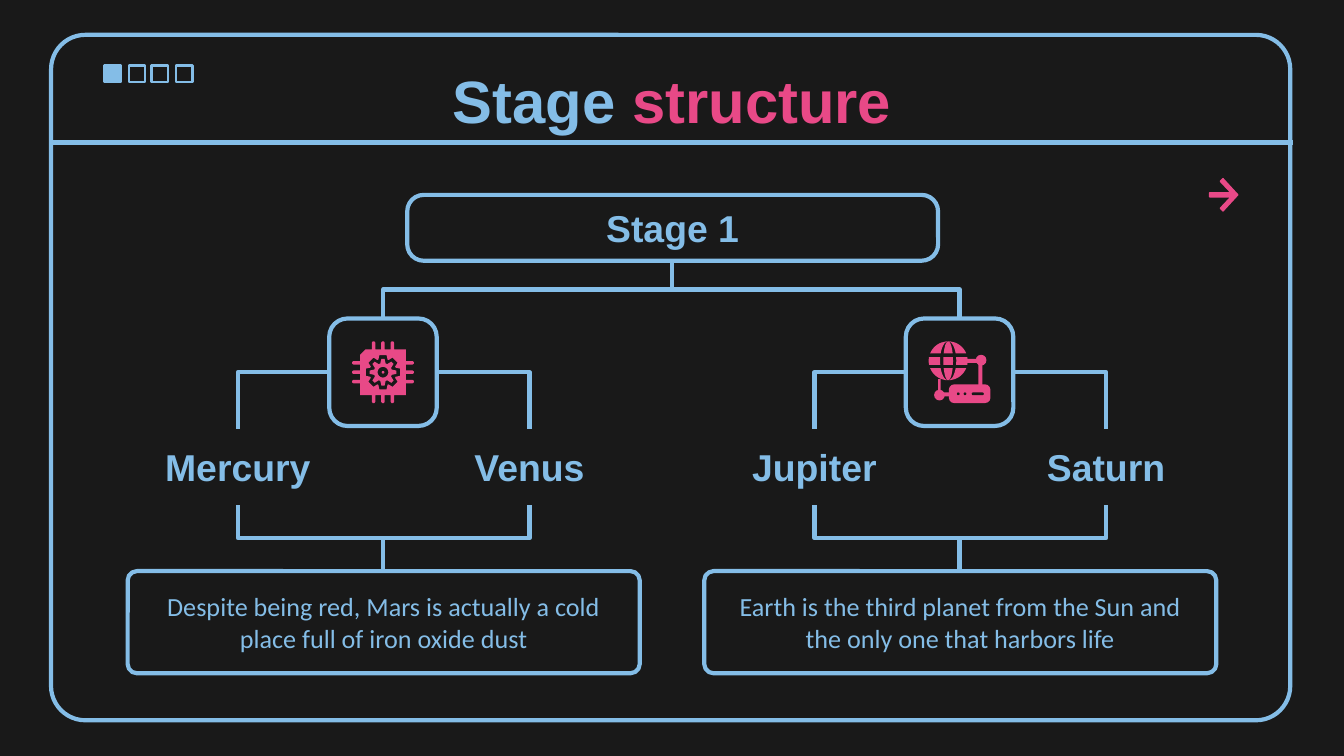
import math

import pptx
import pptx.dml.color
import pptx.enum.shapes
import pptx.enum.text
import pptx.oxml.ns
import pptx.util
from lxml import etree

PX = 9144  # EMU in one px, 100 px to the inch
DARK = pptx.dml.color.RGBColor(0x19, 0x19, 0x19)
BLUE = pptx.dml.color.RGBColor(0x84, 0xBD, 0xE7)
PINK = pptx.dml.color.RGBColor(0xE8, 0x49, 0x87)
SHAPE = pptx.enum.shapes.MSO_SHAPE
CONNECTOR = pptx.enum.shapes.MSO_CONNECTOR
ANCHOR = pptx.enum.text.MSO_ANCHOR
CENTER = pptx.enum.text.PP_ALIGN.CENTER
qn = pptx.oxml.ns.qn

# Widescreen page, 16 to 9
deck = pptx.Presentation()
deck.slide_width = 1000 * PX
deck.slide_height = 1000 * PX * 9 // 16
page = deck.slides.add_slide(deck.slide_layouts[5])
page.background.fill.solid()
page.background.fill.fore_color.rgb = DARK


def add_box(kind, left, top, width, height, fill=None, line=None, radius=None,
            text="", font="Arial", size=20, bold=True):
    box = page.shapes.add_shape(kind, left * PX, top * PX, width * PX, height * PX)
    box.shadow.inherit = False
    if radius is not None:
        box.adjustments[0] = radius
    if fill is None:
        box.fill.background()
    else:
        box.fill.solid()
        box.fill.fore_color.rgb = fill
    if line is None:
        box.line.fill.background()
    else:
        box.line.color.rgb = BLUE
        box.line.width = pptx.util.Pt(line)
    if text:
        frame = box.text_frame
        frame.word_wrap = True
        frame.vertical_anchor = ANCHOR.MIDDLE
        frame.margin_left = frame.margin_right = 10 * PX
        frame.margin_top = frame.margin_bottom = 10 * PX
        para = frame.paragraphs[0]
        para.text = text
        para.alignment = CENTER
        para.font.name, para.font.size = font, pptx.util.Pt(size)
        para.font.bold, para.font.color.rgb = bold, BLUE


def add_outline(center_x, center_y, *contours):
    """Pink outline; points are px from the center, inner contours are holes."""
    places = [[(round(100 * (center_x + x)), round(100 * (center_y + y))) for x, y in contour]
              for contour in contours]
    builder = page.shapes.build_freeform(*places[0][0], scale=PX / 100)
    builder.add_line_segments(places[0][1:], close=True)
    for contour in places[1:]:
        builder.move_to(*contour[0])
        builder.add_line_segments(contour[1:], close=True)
    outline = builder.convert_to_shape()
    outline.shadow.inherit = False
    outline.fill.solid()
    outline.fill.fore_color.rgb = PINK
    outline.line.fill.background()


# Window frame, divider and page markers
add_box(SHAPE.ROUNDED_RECTANGLE, 38, 26, 922, 510, line=2.25, radius=0.05)
connectors = [page.shapes.add_connector(CONNECTOR.STRAIGHT, 37 * PX, 106 * PX, 962 * PX, 106 * PX)]
for marker, left in enumerate((78, 96, 113, 131)):
    add_box(SHAPE.RECTANGLE, left, 49, 12, 12, fill=None if marker else BLUE, line=1.5)

# Title
title = page.shapes.title
title.left, title.top, title.width, title.height = 79 * PX, 49 * PX, 842 * PX, 62 * PX
frame = title.text_frame
frame.word_wrap = True
frame.auto_size = pptx.enum.text.MSO_AUTO_SIZE.NONE
frame.vertical_anchor = ANCHOR.BOTTOM
frame.margin_left = frame.margin_right = frame.margin_top = frame.margin_bottom = 10 * PX
para = frame.paragraphs[0]
para.alignment = CENTER
para.font.name, para.font.size, para.font.bold = "Arial", pptx.util.Pt(32), True
for text, color in (("Stage ", BLUE), ("structure", PINK)):
    span = para.add_run()
    span.text = text
    span.font.color.rgb = color

# Tree: root, then two branches of an icon, two names and a note
add_box(SHAPE.ROUNDED_RECTANGLE, 303, 145, 395, 49, line=2.25, radius=0.25, text="Stage 1")
branches = (
    (95, ("Mercury", "Venus"),
     "Despite being red, Mars is actually a cold place full of iron oxide dust"),
    (524, ("Jupiter", "Saturn"),
     "Earth is the third planet from the Sun and the only one that harbors life"),
)
for left, names, note in branches:
    middle = left + 190
    add_box(SHAPE.ROUNDED_RECTANGLE, left + 150, 237, 80, 80, line=2.25, radius=0.17)
    add_box(SHAPE.ROUNDED_RECTANGLE, left, 425, 381, 76, line=2.25, radius=0.09,
            text=note, font="Calibri", size=14, bold=False)
    drops = [(500, 194, middle, 237)]
    for name, name_left, icon_edge in zip(names, (left, left + 217), (middle - 40, middle + 40)):
        add_box(SHAPE.ROUNDED_RECTANGLE, name_left, 319, 164, 57, radius=0, text=name)
        name_middle = name_left + 82
        drops.append((name_middle, 376, middle, 425))
        # Sideways from the icon, then down to the name
        elbow = page.shapes.add_connector(
            CONNECTOR.ELBOW, icon_edge * PX, 277 * PX, name_middle * PX, 319 * PX)
        elbow._element.spPr.find(qn("a:prstGeom")).set("prst", "bentConnector2")
        connectors.append(elbow)

    # Down, across, down: an elbow turned by a quarter about its center
    for x1, y1, x2, y2 in drops:
        center_x, center_y = (x1 + x2) * PX // 2, (y1 + y2) * PX // 2
        reach, spread = (y2 - y1) * PX // 2, abs(x2 - x1) * PX // 2
        turn = 270 if x2 > x1 else 90
        if x2 > x1:
            reach = -reach
        elbow = page.shapes.add_connector(
            CONNECTOR.ELBOW, center_x - reach, center_y - spread,
            center_x + reach, center_y + spread)
        elbow._element.spPr.find(qn("a:xfrm")).set("rot", str(turn * 60000))
        connectors.append(elbow)

for connector in connectors:
    connector.line.color.rgb = BLUE
    connector.line.width = pptx.util.Pt(2.25)
    etree.SubElement(connector._element.spPr, qn("a:effectLst"))

# Chip icon: pinned body with a gear-shaped hole, gear and hub
body = []
for side in range(4):
    edge = [(-17, -13), (-13, -17)] if side == 0 else [(-17, -17)]
    for pin in (-7, 0, 7):
        edge += [(pin - 1.3, -17), (pin - 1.3, -22), (pin - 0.6, -23),
                 (pin + 0.6, -23), (pin + 1.3, -22), (pin + 1.3, -17)]
    for x, y in edge:
        for quarter in range(side):
            x, y = -y, x
        body.append((x, y))
gears = []
for tip, root, tip_angle, root_angle in ((13, 10, 12, 20), (10, 6.8, 7, 17)):
    gears.append([
        (radius * math.cos(math.radians(45 * tooth + angle)),
         radius * math.sin(math.radians(45 * tooth + angle)))
        for tooth in range(8)
        for radius, angle in ((root, -root_angle), (tip, -tip_angle),
                              (tip, tip_angle), (root, root_angle))])
hub = [(4 * math.cos(math.radians(angle)), 4 * math.sin(math.radians(angle)))
       for angle in range(0, 360, 15)]
add_outline(285, 277, body, gears[0])
add_outline(285, 277, gears[1], hub)
add_box(SHAPE.OVAL, 284, 276, 2, 2, fill=PINK)

# Globe icon: three bands, each cut by two meridians
for top, bottom in ((-14.4, -5.5), (-2.7, 3), (5.5, 14.4)):
    rows = [top + (bottom - top) * step / 10 for step in range(11)]
    for inner, outer in ((-14.5, -6), (-3.6, 3.6), (6, 14.5)):
        bend = [math.sqrt(1 - (y / 14.5) ** 2) for y in rows]
        add_outline(705.5, 268.5,
                    [(inner * b, y) for b, y in zip(bend, rows)]
                    + [(outer * b, y) for b, y in reversed(list(zip(bend, rows)))])

# Network below the globe: wires, nodes and router with its lights
for wire in ((719, 267, 8, 3), (728, 268, 3, 20), (698, 282, 2, 9), (702, 292, 6, 3)):
    add_box(SHAPE.RECTANGLE, *wire, fill=PINK)
for node in ((726, 264, 8, 8), (695, 290, 8, 8)):
    add_box(SHAPE.OVAL, *node, fill=PINK)
add_box(SHAPE.ROUNDED_RECTANGLE, 706, 286, 31, 14, fill=PINK, radius=0.29)
for light_left, light_width in ((712, 2), (717, 2), (723, 9)):
    add_box(SHAPE.ROUNDED_RECTANGLE, light_left, 292, light_width, 2, fill=DARK, radius=0.5)

# Arrow to the next page
add_outline(900, 133, [(10, 0), (8, 2), (16, 10.5), (0, 10.5), (0, 13.5),
                       (16, 13.5), (8, 22), (10, 24), (21, 12)])
arrow = page.shapes[-1]
arrow.line.color.rgb = PINK
arrow.line.width = pptx.util.Pt(0.75)

deck.save("out.pptx")
